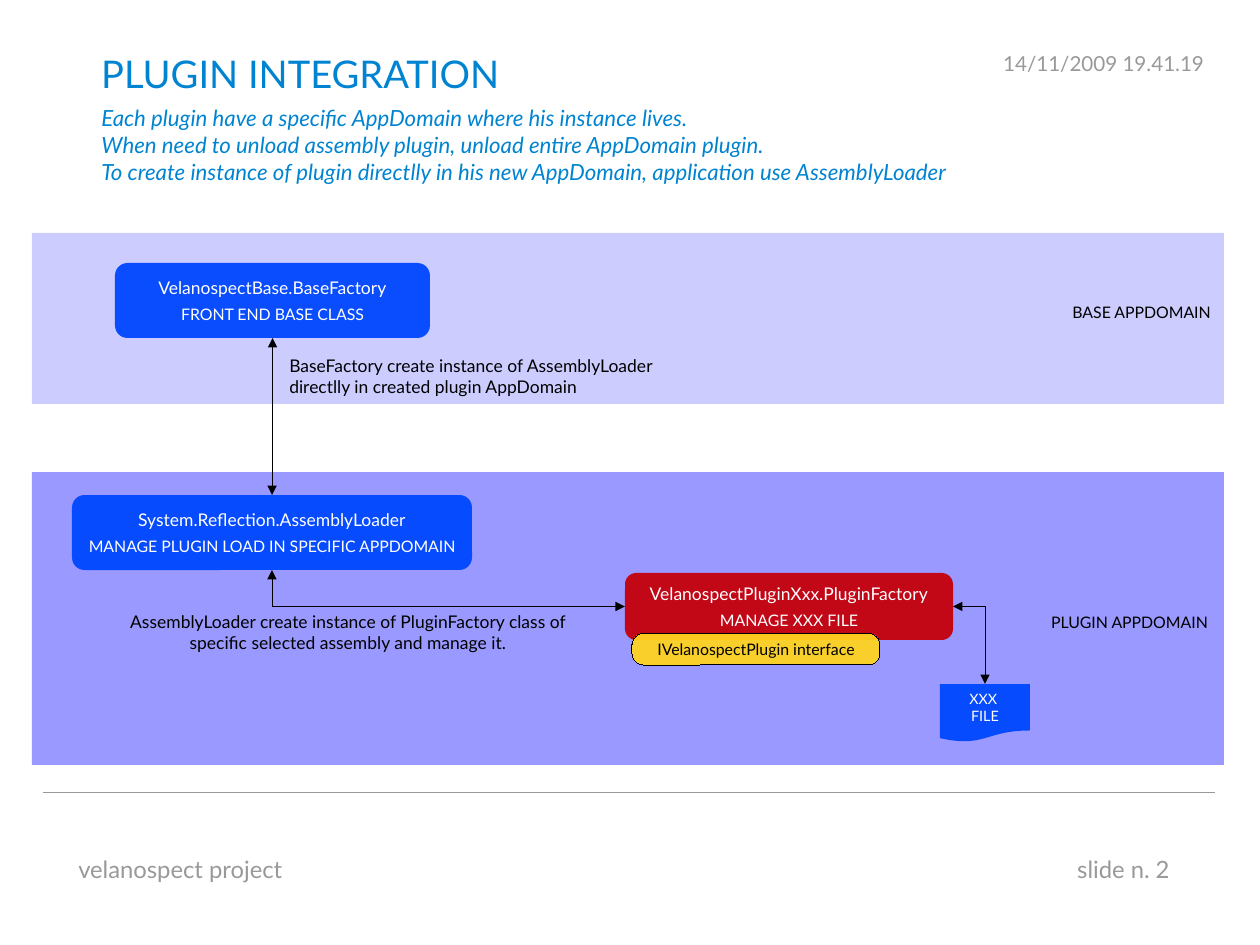
from lxml import etree
from pptx import Presentation
from pptx.dml.color import RGBColor
from pptx.enum.shapes import MSO_CONNECTOR, MSO_SHAPE
from pptx.enum.text import MSO_ANCHOR, MSO_AUTO_SIZE, PP_ALIGN
from pptx.oxml.ns import qn
from pptx.util import Pt

PX = 8000  # EMU per px
FONT = "Lato"
LEFT, CENTER, RIGHT = PP_ALIGN.LEFT, PP_ALIGN.CENTER, PP_ALIGN.RIGHT
RECT, ROUND = MSO_SHAPE.RECTANGLE, MSO_SHAPE.ROUNDED_RECTANGLE
DOCUMENT = MSO_SHAPE.FLOWCHART_DOCUMENT
STRAIGHT, ELBOW = MSO_CONNECTOR.STRAIGHT, MSO_CONNECTOR.ELBOW
MIDDLE, GROW = MSO_ANCHOR.MIDDLE, MSO_AUTO_SIZE.SHAPE_TO_FIT_TEXT
TOP, LEFT_SIDE, BOTTOM, RIGHT_SIDE = range(4)

COLORS = {
    "gray": "999999",
    "title": "0084D1",
    "domain": "0000FF",
    "blue": "0047FF",
    "red": "C5000B",
    "yellow": "FFD320",
    "black": "000000",
    "white": "FFFFFF",
}


def rgb(name):
    return RGBColor.from_string(COLORS[name])


def emu(*lengths):
    return [length * PX for length in lengths]


def set_hairline(shape, color):
    """Give a shape or connector the thinnest line."""
    shape.line.color.rgb = rgb(color)
    shape.line._ln.set("w", "0")


def write(frame, lines, sizes, color, align, italic=False):
    """Fill a text frame, one paragraph per line."""
    for index, (line, size) in enumerate(zip(lines, sizes)):
        paragraph = frame.paragraphs[0] if index == 0 else frame.add_paragraph()
        paragraph.text = line
        paragraph.alignment = align
        paragraph.font.name = FONT
        paragraph.font.size = Pt(size)
        paragraph.font.italic = italic
        paragraph.font.color.rgb = rgb(color)


def add_label(slide, box, lines, size, color="black", align=LEFT,
              wrap=True, italic=False):
    frame = slide.shapes.add_textbox(*emu(*box)).text_frame
    frame.word_wrap = wrap
    frame.auto_size = GROW
    write(frame, lines, [size] * len(lines), color, align, italic)


def add_block(slide, kind, box, fill, opacity, corner=None):
    """Add a shape with a see-through fill and no outline."""
    shape = slide.shapes.add_shape(kind, *emu(*box))
    shape.shadow.inherit = False
    shape.fill.solid()
    shape.fill.fore_color.rgb = rgb(fill)
    color = shape.fill._xPr.find(qn("a:solidFill"))[0]
    etree.SubElement(color, qn("a:alpha")).set("val", str(opacity * 1000))
    shape.line.fill.background()
    if corner is not None:
        shape.adjustments[0] = corner
    return shape


def add_node(slide, kind, box, fill, lines, sizes, color="white", corner=None):
    shape = add_block(slide, kind, box, fill, 95, corner)
    frame = shape.text_frame
    frame.word_wrap = True
    frame.vertical_anchor = MIDDLE
    write(frame, lines, sizes, color, CENTER)
    return shape


def add_class(slide, box, fill, name, role):
    """Add a class box: its name above its role."""
    shape = add_node(slide, ROUND, box, fill, [name, role], [11, 10], corner=0.167)
    shape.text_frame.paragraphs[0].space_after = Pt(4.2)
    return shape


def add_line(slide, kind, color, ends=(0, 0, 0, 0)):
    connector = slide.shapes.add_connector(kind, *emu(*ends))
    set_hairline(connector, color)
    etree.SubElement(connector._element.spPr, qn("a:effectLst"))
    return connector


def add_arrow(slide, start, start_side, end, end_side):
    """Join two shapes with a bent line, an arrowhead at each end."""
    connector = add_line(slide, ELBOW, "black")
    connector.begin_connect(start, start_side)
    connector.end_connect(end, end_side)
    for tag in ("a:headEnd", "a:tailEnd"):
        etree.SubElement(connector.line._ln, qn(tag)).set("type", "triangle")
    return connector


def bend_once(connector):
    """Run sideways first, then up or down."""
    connector._element.spPr.find(qn("a:prstGeom")).set("prst", "bentConnector2")


def turn_downward(connector):
    """Turn the bent line so that it runs down, stepping left halfway."""
    left, top = connector.left, connector.top
    width, height = connector.width, connector.height
    transform = connector._element.spPr.find(qn("a:xfrm"))
    transform.attrib.clear()
    transform.set("rot", "5400000")
    connector.left = left + (width - height) // 2
    connector.top = top + (height - width) // 2
    connector.width, connector.height = height, width


def main():
    presentation = Presentation()
    presentation.slide_width, presentation.slide_height = emu(1260, 945)
    slide = presentation.slides.add_slide(presentation.slide_layouts[6])

    # Footer and date
    add_line(slide, STRAIGHT, "gray", (44, 792, 1215, 792))
    add_label(slide, (67, 849, 293, 43), ["velanospect project"], 15, "gray")
    add_label(slide, (1066, 849, 144, 43), ["slide n. 2"], 15, "gray")
    add_label(slide, (922, 45, 293, 39), ["14/11/2009 19.41.19"], 13, "gray", RIGHT)

    # Title and introduction
    add_label(slide, (90, 45, 431, 63), ["PLUGIN INTEGRATION"], 24, "title", wrap=False)
    add_label(slide, (90, 99, 1013, 102), [
        "Each plugin have a specific AppDomain where his instance lives.",
        "When need to unload assembly plugin, unload entire AppDomain plugin.",
        "To create instance of plugin directlly in his new AppDomain, "
        "application use AssemblyLoader",
    ], 14, "title", italic=True)

    # Base domain
    add_block(slide, RECT, (32, 233, 1192, 171), "domain", 20)
    add_label(slide, (1059, 297, 163, 33), ["BASE APPDOMAIN"], 10, align=RIGHT, wrap=False)
    base = add_class(slide, (115, 263, 315, 75), "blue",
                     "VelanospectBase.BaseFactory", "FRONT END BASE CLASS")

    # Plugin domain
    add_block(slide, RECT, (32, 472, 1192, 293), "domain", 40)
    add_label(slide, (1038, 607, 181, 33), ["PLUGIN APPDOMAIN"], 10, align=RIGHT, wrap=False)
    loader = add_class(slide, (72, 495, 400, 75), "blue",
                       "System.Reflection.AssemblyLoader",
                       "MANAGE PLUGIN LOAD IN SPECIFIC APPDOMAIN")
    plugin = add_class(slide, (625, 573, 328, 67), "red",
                       "VelanospectPluginXxx.PluginFactory", "MANAGE XXX FILE")
    interface = add_node(slide, ROUND, (632, 633, 248, 32), "yellow",
                         ["IVelanospectPlugin interface"], [10], "black", 0.372)
    set_hairline(interface, "black")
    xxx_file = add_node(slide, DOCUMENT, (940, 684, 90, 58), "blue",
                        ["XXX ", "FILE"], [9, 9])

    # Arrows
    turn_downward(add_arrow(slide, base, BOTTOM, loader, TOP))
    bend_once(add_arrow(slide, plugin, LEFT_SIDE, loader, BOTTOM))
    bend_once(add_arrow(slide, plugin, RIGHT_SIDE, xxx_file, TOP))

    # Notes beside the arrows
    add_label(slide, (278, 349, 419, 59), [
        "BaseFactory create instance of AssemblyLoader",
        "directlly in created plugin AppDomain",
    ], 11)
    add_label(slide, (112, 605, 472, 59), [
        "AssemblyLoader create instance of PluginFactory class of "
        "specific selected assembly and manage it.",
    ], 11, align=CENTER)

    presentation.save("out.pptx")


if __name__ == "__main__":
    main()
